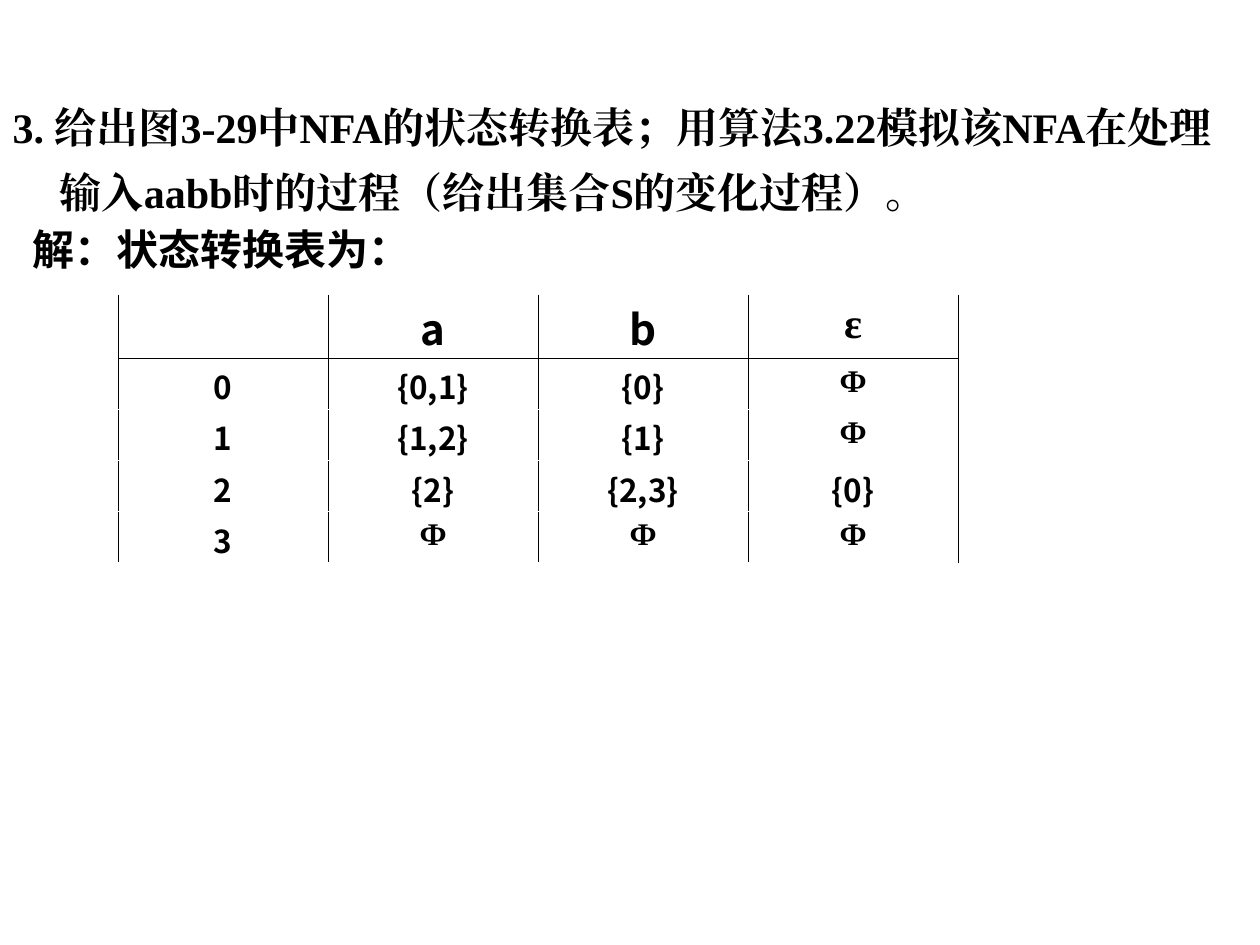
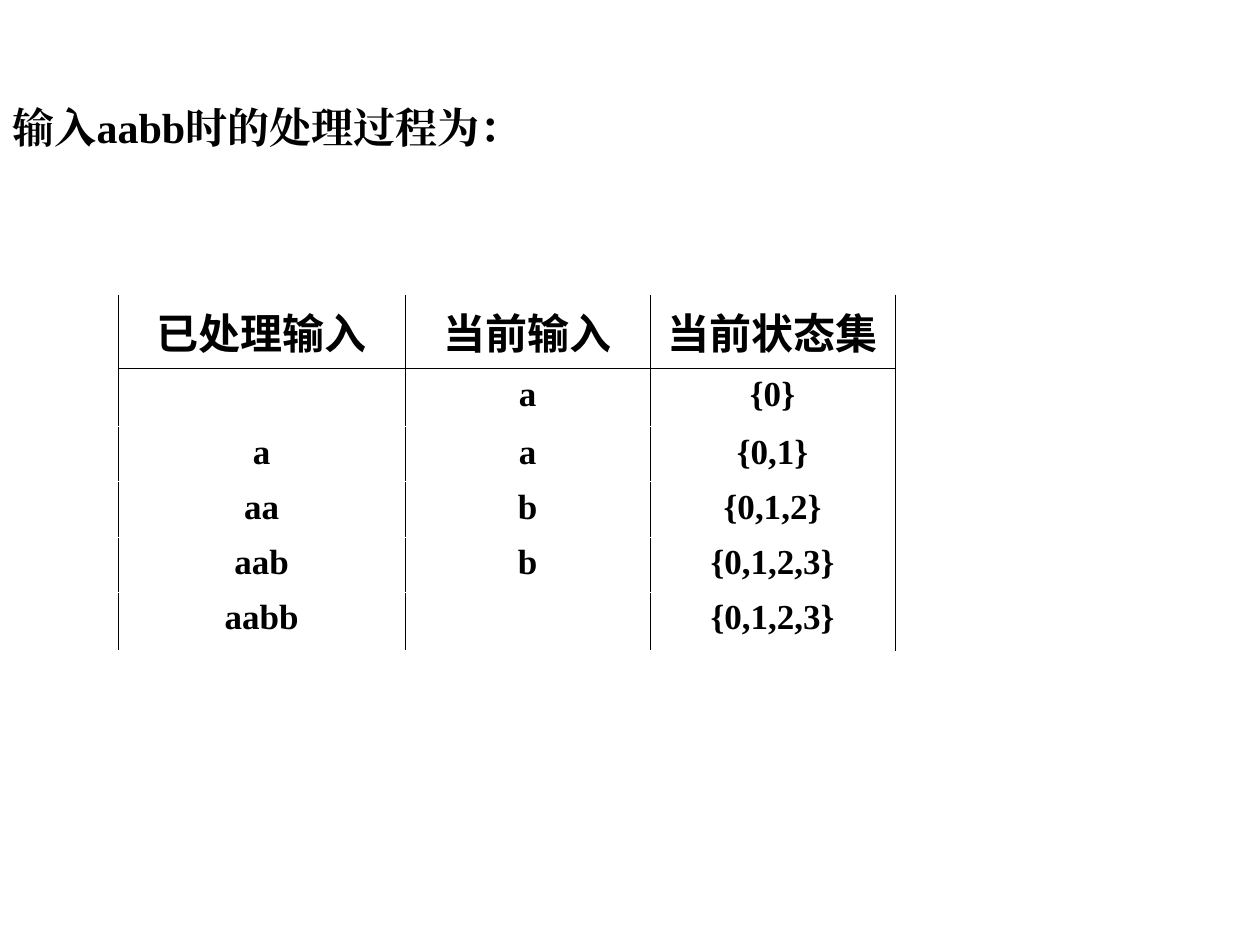
from pptx import Presentation
from pptx.dml.color import RGBColor
from pptx.enum.text import MSO_ANCHOR, MSO_AUTO_SIZE, PP_ALIGN
from pptx.oxml.ns import qn
from pptx.util import Pt
from lxml import etree

# Shared style
BLACK = RGBColor(0, 0, 0)
WHITE = RGBColor(255, 255, 255)
SERIF = "Times New Roman"
SANS = "Arial"
CJK = "Noto Sans CJK SC"
HEAD_SIZE = 24
CJK_LINE = 1.45  # line height of the CJK font, in ems
TOP = MSO_ANCHOR.TOP
CENTER = PP_ALIGN.CENTER
NO_FIT = MSO_AUTO_SIZE.NONE
GROW = MSO_AUTO_SIZE.SHAPE_TO_FIT_TEXT
TABLE_LEFT, TABLE_TOP = 67.5, 168.5
RULE_WIDTH = Pt(0.45)
INSET = 3.6


def set_fonts(properties, font):
    """Give Latin and East Asian text the same font."""
    for tag in ("a:latin", "a:ea"):
        etree.SubElement(properties, qn(tag)).set("typeface", font)


def add_run(paragraph, text, font, size):
    run = paragraph.add_run()
    run.text = text
    run.font.size = Pt(size)
    run.font.bold = True
    run.font.color.rgb = BLACK
    set_fonts(run.font._element, font)


def add_statement(slide, text):
    """Fill the body placeholder with a hanging, unbulleted paragraph."""
    slide.shapes.title._element.getparent().remove(slide.shapes.title._element)
    body = slide.placeholders[1]
    body.left, body.top, body.width, body.height = Pt(0), Pt(45.5), Pt(708), Pt(84)
    frame = body.text_frame
    frame.auto_size = NO_FIT
    frame.vertical_anchor = TOP
    paragraph = frame.paragraphs[0]
    paragraph.line_spacing = 1.3
    paragraph.space_before = Pt(15)
    properties = paragraph._p.get_or_add_pPr()
    properties.set("marL", str(Pt(27)))
    properties.set("indent", str(-Pt(27)))
    etree.SubElement(properties, qn("a:buNone"))
    add_run(paragraph, text, SERIF, HEAD_SIZE)


def add_note(slide, text):
    note = slide.shapes.add_textbox(Pt(11.5), Pt(124), Pt(646.5), Pt(36))
    frame = note.text_frame
    frame.word_wrap = True
    frame.auto_size = GROW
    add_run(frame.paragraphs[0], text, SANS, HEAD_SIZE)


def set_borders(cell, top, bottom):
    """Black side rules, with the given colours above and below."""
    properties = cell._tc.get_or_add_tcPr()
    sides = (("a:lnL", BLACK), ("a:lnR", BLACK), ("a:lnT", top), ("a:lnB", bottom))
    for tag, color in sides:
        line = etree.SubElement(properties, qn(tag), w=str(RULE_WIDTH))
        fill = etree.SubElement(line, qn("a:solidFill"))
        etree.SubElement(fill, qn("a:srgbClr"), val=str(color))


def fill_cell(cell, text, font, size):
    paragraph = cell.text_frame.paragraphs[0]
    paragraph.alignment = CENTER
    if text:
        add_run(paragraph, text, font, size)
    else:
        end = etree.SubElement(paragraph._p, qn("a:endParaRPr"), sz="1800")
        set_fonts(end, CJK)


def add_state_table(slide, rows, widths, heights, font_for, body_size, compact=False):
    """Table with a rule under its header; compact rows keep their height."""
    frame = slide.shapes.add_table(len(rows), len(widths), Pt(TABLE_LEFT),
                                   Pt(TABLE_TOP), Pt(sum(widths)), Pt(sum(heights)))
    table = frame.table
    table.first_row = table.horz_banding = False
    for column, width in zip(table.columns, widths):
        column.width = Pt(width)
    for r, (texts, height) in enumerate(zip(rows, heights)):
        table.rows[r].height = Pt(height)
        size = body_size if r else HEAD_SIZE
        for c, text in enumerate(texts):
            cell = table.cell(r, c)
            font = font_for(r, text)
            fill_cell(cell, text, font, size)
            if compact and font == CJK:
                cell.margin_top = Pt(min(INSET, height - CJK_LINE * size))
                cell.margin_bottom = Pt(0)
            set_borders(cell, BLACK if r == 1 else WHITE, WHITE if r else BLACK)
            cell.fill.background()


def build_transition_slide(slide):
    add_statement(slide, "3. 给出图3-29中NFA的状态转换表；用算法3.22模拟该NFA在"
                         "处理输入aabb时的过程（给出集合S的变化过程）。")
    add_note(slide, "解：状态转换表为：")
    transitions = [
        ("", "a", "b", "ε"),
        ("0", "{0,1}", "{0}", "Ф"),
        ("1", "{1,2}", "{1}", "Ф"),
        ("2", "{2}", "{2,3}", "{0}"),
        ("3", "Ф", "Ф", "Ф"),
    ]
    add_state_table(slide, transitions, [120] * 4, [36] + [29.2] * 4,
                    lambda row, text: SERIF if text in ("ε", "Ф") else CJK,
                    18, compact=True)


def build_process_slide(slide):
    add_statement(slide, "输入aabb时的处理过程为：")
    steps = [
        ("已处理输入", "当前输入", "当前状态集"),
        ("", "a", "{0}"),
        ("a", "a", "{0,1}"),
        ("aa", "b", "{0,1,2}"),
        ("aab", "b", "{0,1,2,3}"),
        ("aabb", "", "{0,1,2,3}"),
    ]
    add_state_table(slide, steps, [164, 140, 140], [36] + [31.5] * 5,
                    lambda row, text: SERIF if row else CJK, 20)


def main():
    deck = Presentation()
    deck.slide_width, deck.slide_height = Pt(720), Pt(540)
    for build in (build_transition_slide, build_process_slide):
        build(deck.slides.add_slide(deck.slide_layouts[1]))
    deck.save("out.pptx")


main()
